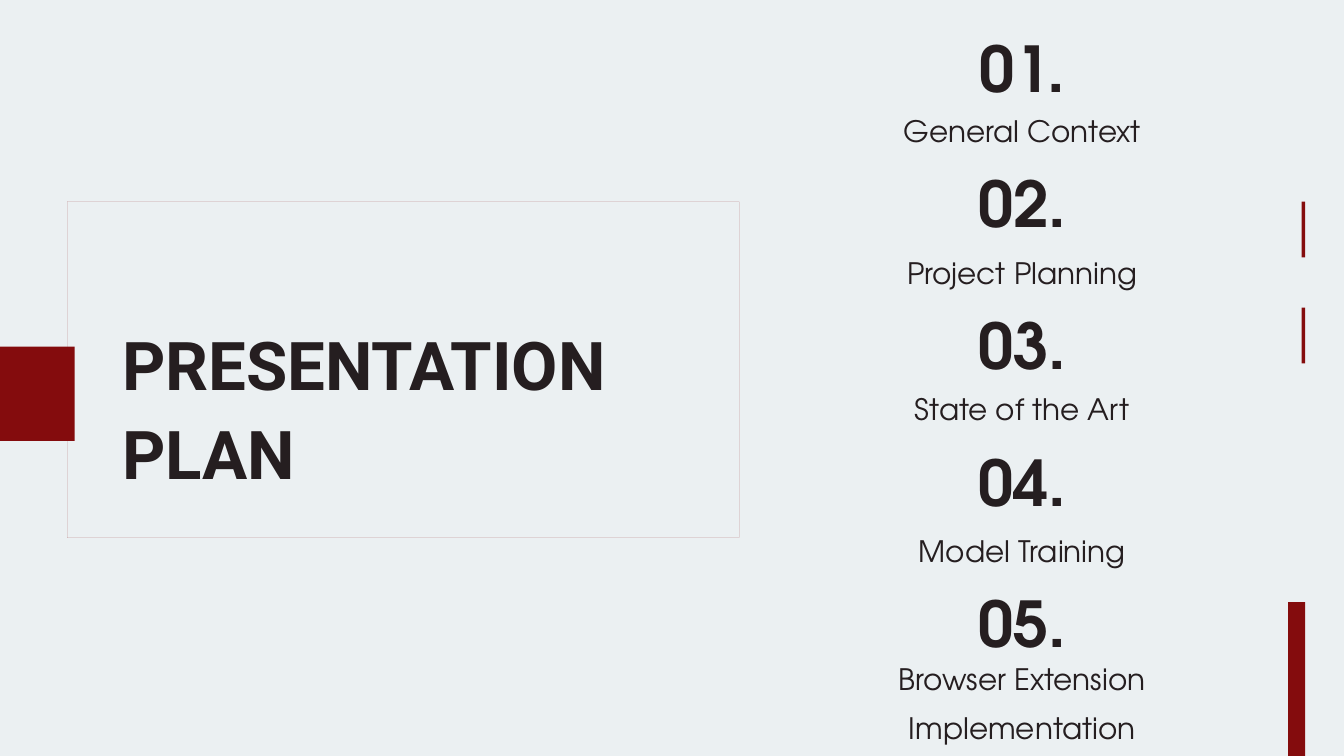
from pptx import Presentation
from pptx.dml.color import RGBColor
from pptx.enum.shapes import MSO_SHAPE
from pptx.enum.text import MSO_ANCHOR, MSO_AUTO_SIZE, PP_ALIGN
from pptx.util import Inches, Pt

BACKGROUND = RGBColor(0xEB, 0xF0, 0xF2)
RED = RGBColor(0x84, 0x0C, 0x0D)
INK = RGBColor(0x25, 0x1E, 0x20)
TITLE_FONT = "Roboto"
BODY_FONT = "TeX Gyre Adventor"
RECTANGLE = MSO_SHAPE.RECTANGLE
TOP = MSO_ANCHOR.TOP
GROW = MSO_AUTO_SIZE.SHAPE_TO_FIT_TEXT
LEFT, CENTER = PP_ALIGN.LEFT, PP_ALIGN.CENTER
TITLE_ONLY = 5


class PlanSlide:
    """Holds the slide and the style of its elements."""

    def __init__(self, prs):
        self.slide = prs.slides.add_slide(prs.slide_layouts[TITLE_ONLY])
        self.shapes = self.slide.shapes
        fill = self.slide.background.fill
        fill.solid()
        fill.fore_color.rgb = BACKGROUND

    def paint(self, shape):
        shape.shadow.inherit = False
        shape.fill.solid()
        shape.fill.fore_color.rgb = RED
        shape.line.fill.background()

    def bar(self, left, top, width, height):
        self.paint(self.shapes.add_shape(
            RECTANGLE, Inches(left), Inches(top), Inches(width), Inches(height)))

    def frame(self, left, top, width, height, border):
        """A solid outline: an outer contour with an inner one cut out."""
        right, bottom = left + width, top + height
        x1, y1, x2, y2 = left + border, top + border, right - border, bottom - border
        builder = self.shapes.build_freeform(left, top, scale=Inches(1))
        builder.add_line_segments([(left, bottom), (right, bottom), (right, top)])
        builder.move_to(x2, y2)
        builder.add_line_segments([(x1, y2), (x1, y1), (x2, y1)])
        self.paint(builder.convert_to_shape())

    def format_text(self, box, lines, font_name, size, bold, align, spacing):
        text = box.text_frame
        text.text = "\n".join(lines)
        text.word_wrap = True
        text.auto_size = GROW
        text.vertical_anchor = TOP
        text.margin_left = text.margin_right = text.margin_top = text.margin_bottom = 0
        for paragraph in text.paragraphs:
            paragraph.alignment = align
            paragraph.line_spacing = spacing
            font = paragraph.font
            font.name, font.size, font.bold = font_name, Pt(size), bold
            font.color.rgb = INK

    def title(self, lines, left, top, width, height):
        heading = self.shapes.title
        heading.left, heading.top = Inches(left), Inches(top)
        heading.width, heading.height = Inches(width), Inches(height)
        self.format_text(heading, lines, TITLE_FONT, 72, True, LEFT, 1.1)

    def text(self, words, left, top, width, height, size, bold=False, spacing=1.0):
        box = self.shapes.add_textbox(
            Inches(left), Inches(top), Inches(width), Inches(height))
        self.format_text(box, [words], BODY_FONT, size, bold, CENTER, spacing)

    def topic(self, number, label, number_top, label_top, label_height):
        self.text(label, 12.11, label_top, 6.2, label_height, 31.6, spacing=1.4)
        self.text(f"{number:02}.", 14, number_top, 2.43, 1.14, 67.7, bold=True)


def main():
    prs = Presentation()
    prs.slide_width, prs.slide_height = Inches(20), Inches(11.25)
    plan = PlanSlide(prs)

    # Framed title with its side tab
    plan.frame(1.07, 3.41, 9.78, 4.74, border=0.08)
    plan.title(["PRESENTATION", "PLAN"], 1.82, 4.69, 8.29, 2.24)
    plan.bar(-0.43, 5.16, 1.54, 1.4)

    # Accents on the right edge
    for dash_top in (4.58, 3):
        plan.bar(19.37, dash_top, 0.05, 0.83)
    plan.bar(19.17, 8.96, 0.25, 4.58)

    # Numbered topics: label, top of number, top and height of label
    topics = [
        ("General Context", 0.43, 1.47, 0.53),
        ("Project Planning", 2.45, 3.58, 0.53),
        ("State of the Art", 4.56, 5.61, 0.53),
        ("Model Training", 6.59, 7.72, 0.53),
        ("Browser Extension Implementation", 8.7, 9.62, 1.28),
    ]
    for number, topic in enumerate(topics, start=1):
        plan.topic(number, *topic)

    prs.save("out.pptx")


if __name__ == "__main__":
    main()
